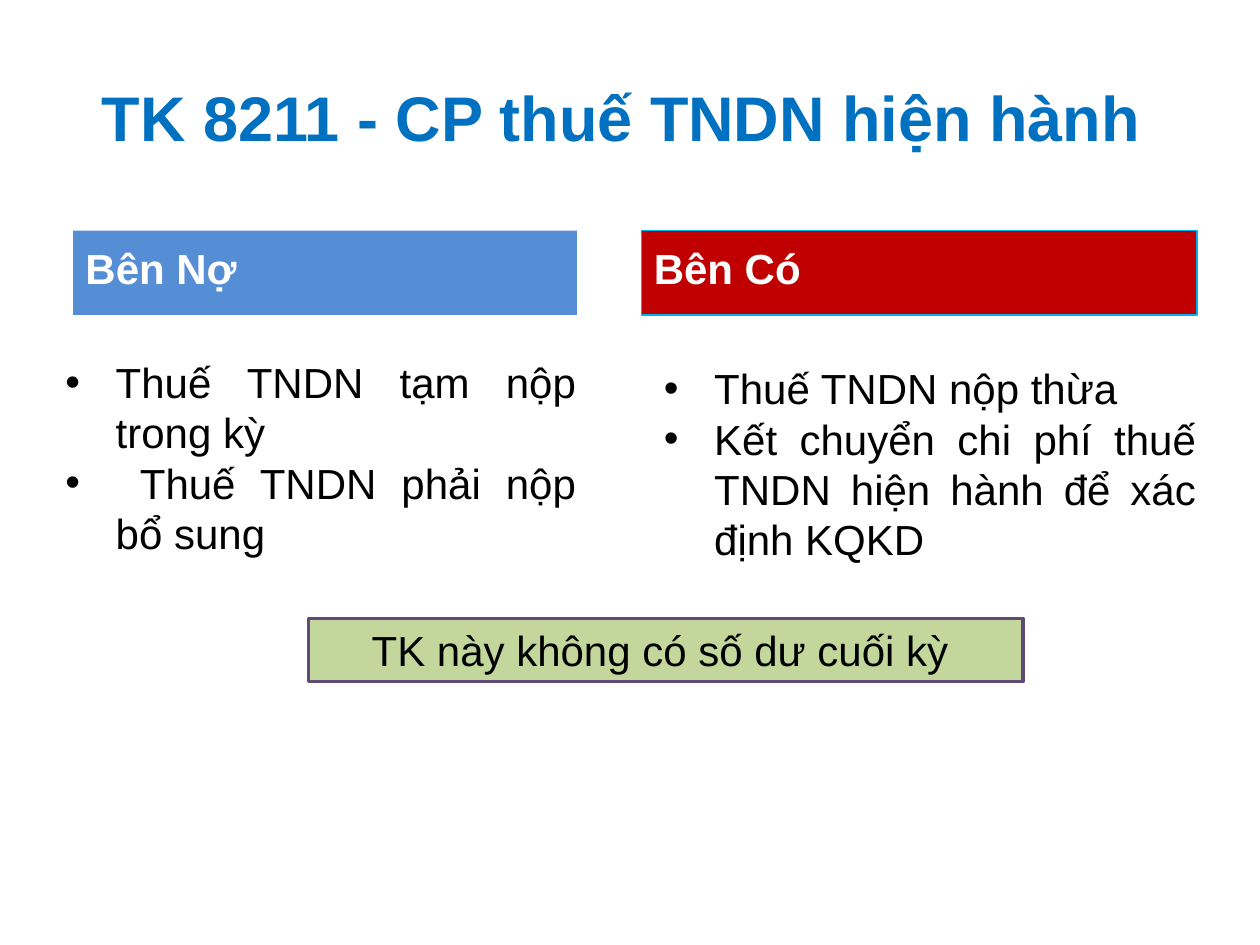
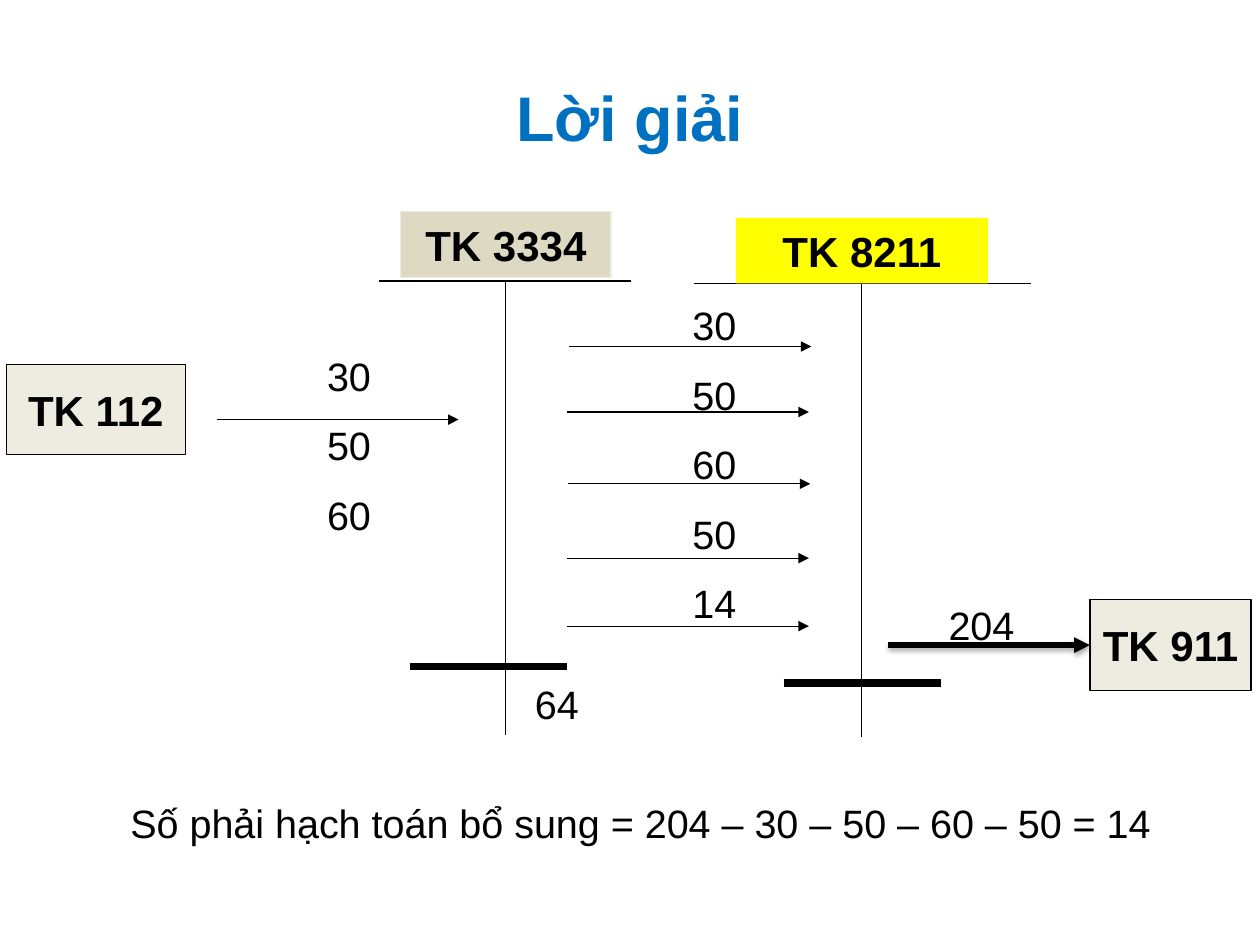
from lxml.etree import SubElement
from pptx import Presentation
from pptx.dml.color import RGBColor
from pptx.enum.shapes import MSO_CONNECTOR, MSO_SHAPE
from pptx.enum.text import MSO_ANCHOR, PP_ALIGN
from pptx.oxml.ns import qn
from pptx.util import Inches, Pt

FONT = "Arial"
BLACK = RGBColor(0x00, 0x00, 0x00)
WHITE = RGBColor(0xFF, 0xFF, 0xFF)
TITLE = RGBColor(0x00, 0x70, 0xC0)
BLUE = RGBColor(0x55, 0x8E, 0xD5)
RED = RGBColor(0xC0, 0x00, 0x00)
CYAN = RGBColor(0x00, 0xB0, 0xF0)
GREEN = RGBColor(0xC3, 0xD6, 0x9B)
PURPLE = RGBColor(0x5F, 0x4A, 0x78)
YELLOW = RGBColor(0xFF, 0xFF, 0x00)
TAN = RGBColor(0xDD, 0xD9, 0xC3)
CREAM = RGBColor(0xEE, 0xEC, 0xE1)


def write(shape, lines, size=24, bold=False, color=BLACK, align=PP_ALIGN.CENTER,
          anchor=MSO_ANCHOR.MIDDLE, pad=(0.1, 0.05), gap=0, bullet=False):
    """Fill a shape with styled paragraphs."""
    frame = shape.text_frame
    frame.word_wrap = True
    frame.vertical_anchor = anchor
    frame.margin_left = frame.margin_right = Inches(pad[0])
    frame.margin_top = frame.margin_bottom = Inches(pad[1])
    frame.text = "\n".join(lines)
    for index, para in enumerate(frame.paragraphs):
        para.alignment = align
        if gap and index:
            para.space_before = Pt(gap)
        if bullet:
            props = para._p.get_or_add_pPr()
            props.set("marL", str(Inches(0.4)))
            props.set("indent", str(-Inches(0.4)))
            SubElement(props, qn("a:buFont"), typeface=FONT)
            SubElement(props, qn("a:buChar"), char="•")
        for run in para.runs:
            run.font.name = FONT
            run.font.size = Pt(size)
            run.font.bold = bold
            run.font.color.rgb = color


def add_text(slide, place, lines, **style):
    """Add a text box."""
    box = slide.shapes.add_textbox(*map(Inches, place))
    write(box, lines, **style)


def add_title(slide, text):
    """Add the slide title."""
    add_text(slide, (0.5, 0.3, 9, 1.25), [text], size=36, bold=True, color=TITLE)


def add_box(slide, place, text, fill, edge=None, width=0.75, **style):
    """Add a filled rectangle with text."""
    box = slide.shapes.add_shape(MSO_SHAPE.RECTANGLE, *map(Inches, place))
    box.shadow.inherit = False
    box.fill.solid()
    box.fill.fore_color.rgb = fill
    if edge is None:
        box.line.fill.background()
    else:
        box.line.color.rgb = edge
        box.line.width = Pt(width)
    write(box, [text], **style)
    return box


def add_header(slide, place, text, fill, edge=None):
    """Add a column header."""
    box = add_box(slide, place, text, fill, edge, bold=True, color=WHITE,
                  align=PP_ALIGN.LEFT)
    box.text_frame.paragraphs[0].line_spacing = 0.8


def add_list(slide, place, items):
    """Add a justified bullet list."""
    add_text(slide, place, items, align=PP_ALIGN.JUSTIFY, anchor=MSO_ANCHOR.TOP,
             bullet=True)


def add_label(slide, place, text, fill, edge=None, anchor=MSO_ANCHOR.MIDDLE):
    """Add a bold account label."""
    return add_box(slide, place, text, fill, edge, bold=True, anchor=anchor,
                   pad=(0.11, 0.06))


def add_sums(slide, place, lines):
    """Add a column of amounts."""
    add_text(slide, place, lines, size=22.6, anchor=MSO_ANCHOR.TOP,
             pad=(0.11, 0.06), gap=12.6)


def add_line(slide, start, end, width=0.75, arrow=False, shade=False):
    """Add a black line, with an arrowhead or shadow if asked."""
    line = slide.shapes.add_connector(MSO_CONNECTOR.STRAIGHT,
                                      *map(Inches, (*start, *end)))
    line.line.color.rgb = BLACK
    line.line.width = Pt(width)
    if arrow:
        SubElement(line.line._get_or_add_ln(), qn("a:tailEnd"), type="triangle")
    effects = SubElement(line._element.spPr, qn("a:effectLst"))
    if shade:
        shadow = SubElement(effects, qn("a:outerShdw"), blurRad=str(Pt(3.1)),
                            dist=str(Pt(1.8)), dir="5400000", rotWithShape="0")
        tint = SubElement(shadow, qn("a:srgbClr"), val=str(BLACK))
        SubElement(tint, qn("a:alpha"), val="35000")
    return line


def add_ledger(slide, left, right, mid, top):
    """Add the T of an account and return its stem."""
    add_line(slide, (left, top), (right, top))
    return add_line(slide, (mid, top), (mid, top + 3.6))


def add_sides(slide):
    """Build the debit and credit slide."""
    add_title(slide, "TK 8211 - CP thuế TNDN hiện hành ")
    add_header(slide, (0.58, 1.83, 4, 0.67), "Bên Nợ", BLUE)
    add_header(slide, (5.09, 1.83, 4.41, 0.67), "Bên Có", RED, CYAN)
    add_list(slide, (5.17, 2.83, 4.42, 2.12), [
        "Thuế TNDN nộp thừa",
        "Kết chuyển chi phí thuế TNDN hiện hành để xác định KQKD"])
    add_list(slide, (0.42, 2.78, 4.25, 2.12), [
        "Thuế TNDN tạm nộp trong kỳ",
        " Thuế TNDN phải nộp bổ sung "])
    add_box(slide, (2.45, 4.91, 5.67, 0.5), "TK này không có số dư cuối kỳ ",
            GREEN, PURPLE, 2)


def add_answer(slide):
    """Build the worked answer slide."""
    add_title(slide, "Lời giải")
    stem = add_ledger(slide, 5.51, 8.18, 6.84, 2.25)
    cost = add_label(slide, (5.84, 1.73, 2, 0.52), "TK 8211", YELLOW,
                     anchor=MSO_ANCHOR.TOP)
    stem.begin_connect(cost, 2)
    add_ledger(slide, 3.01, 5.01, 4.01, 2.23)
    add_label(slide, (3.18, 1.68, 1.67, 0.52), "TK 3334", TAN, CREAM,
              anchor=MSO_ANCHOR.TOP)
    add_label(slide, (0.05, 2.89, 1.42, 0.72), "TK 112", CREAM, BLACK)
    profit = add_label(slide, (8.65, 4.76, 1.28, 0.72), "TK 911", CREAM, BLACK)
    profit.text_frame.word_wrap = False

    for left, top in ((1.72, 3.33), (4.52, 2.75), (4.5, 3.27), (4.51, 3.84),
                      (4.5, 4.43), (4.5, 4.97)):
        add_line(slide, (left, top), (left + 1.92, top), arrow=True)
    close = add_line(slide, (7.05, 5.12), (8.65, 5.12), 3, arrow=True, shade=True)
    close.end_connect(profit, 1)
    for left, top in ((6.22, 5.42), (3.25, 5.29)):
        add_line(slide, (left, top), (left + 1.25, top), 4.5)

    add_sums(slide, (4.75, 2.33, 1.84, 2.78), ["30", "50", "60", "50", "14"])
    add_sums(slide, (1.85, 2.73, 1.84, 2.21), ["30", "50", "60"])
    add_sums(slide, (6.87, 4.71, 1.84, 0.49), ["204"])
    add_sums(slide, (4.01, 5.34, 0.82, 0.49), ["64"])
    add_sums(slide, (0.5, 6.28, 9.17, 0.5),
             ["Số phải hạch toán bổ sung = 204 – 30 – 50 – 60 – 50 = 14"])


def main():
    """Build and save the deck."""
    deck = Presentation()
    deck.slide_width = Inches(10)
    deck.slide_height = Inches(7.5)
    for build in (add_sides, add_answer):
        build(deck.slides.add_slide(deck.slide_layouts[6]))
    deck.save("out.pptx")


if __name__ == "__main__":
    main()
